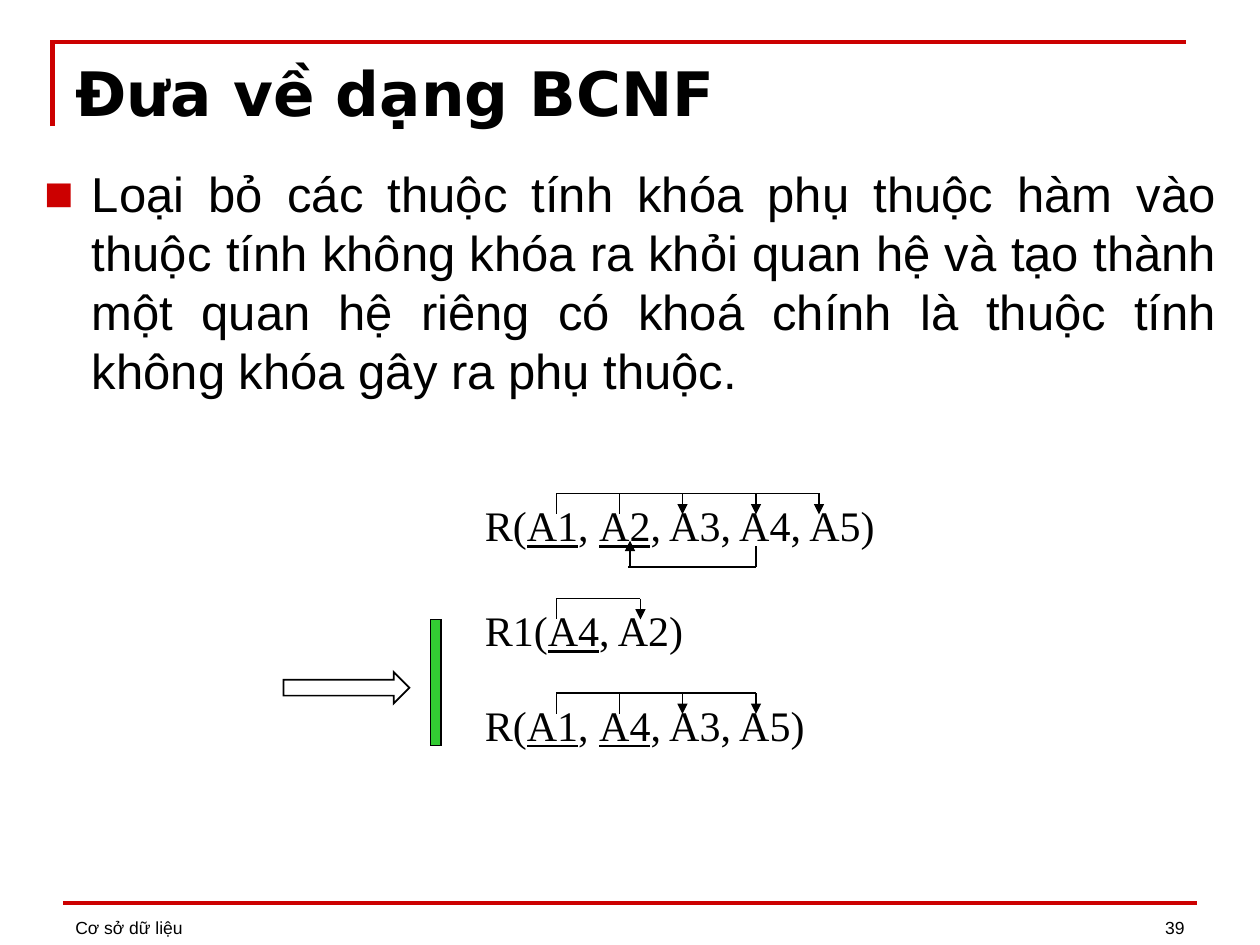
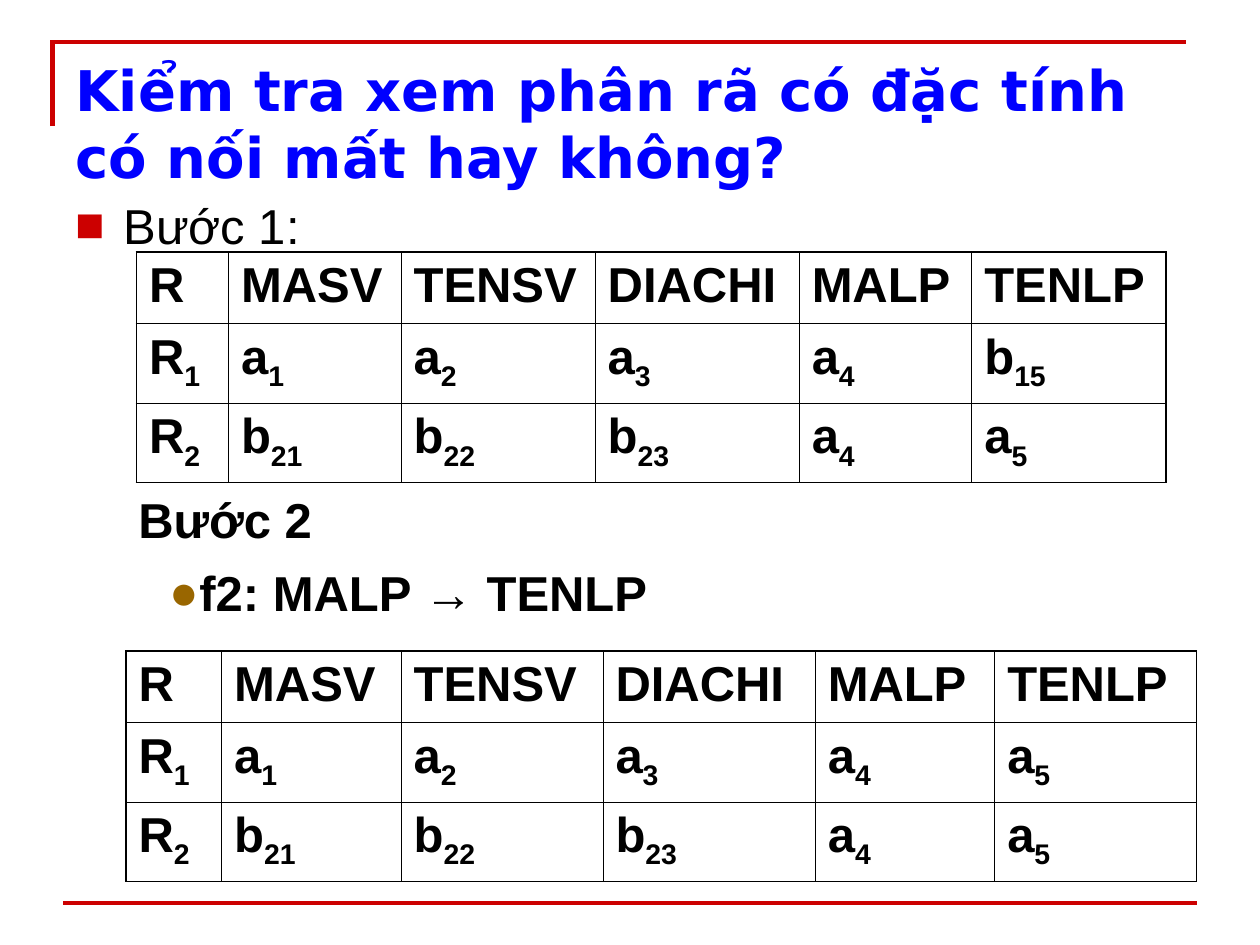
from dataclasses import dataclass
from typing import Any
from lxml.etree import SubElement
from pptx import Presentation
from pptx.dml.color import RGBColor
from pptx.enum.shapes import MSO_CONNECTOR, MSO_SHAPE
from pptx.enum.text import MSO_ANCHOR, MSO_AUTO_SIZE, PP_ALIGN
from pptx.oxml.ns import qn
from pptx.util import Inches, Pt

INK = {"red": "CC0000", "black": "000000", "blue": "0000FF",
       "green": "33CC33", "brown": "996600"}
WIDE, HIGH = Inches(10), Inches(7.5)
COLS, ROWS = 120, 90
THIN, THICK = 0.45, 1.08

FLAT = {"word_wrap": True, "auto_size": MSO_AUTO_SIZE.NONE,
        "vertical_anchor": MSO_ANCHOR.TOP,
        "margin_left": Inches(0.1), "margin_right": Inches(0.1),
        "margin_top": Inches(0.05), "margin_bottom": Inches(0.05)}
FOOT = {**FLAT, "vertical_anchor": MSO_ANCHOR.BOTTOM}
LEFT = {"alignment": PP_ALIGN.LEFT, "space_before": Pt(0), "line_spacing": 1.0}
RIGHT = {**LEFT, "alignment": PP_ALIGN.RIGHT}
LIST = {**LEFT, "alignment": PP_ALIGN.JUSTIFY}
PLAIN = {"name": "Arial", "size": Pt(28), "bold": False}
BOLD = {**PLAIN, "bold": True}
SMALL = {**PLAIN, "size": Pt(10)}
SERIF = {**PLAIN, "name": "Times New Roman", "size": Pt(24)}


@dataclass(frozen=True)
class Box:
    col: float
    row: float
    wide: float
    high: float

    def place(self) -> tuple[int, int, int, int]:
        return x(self.col), y(self.row), x(self.wide), y(self.high)


@dataclass(frozen=True)
class Rel:
    text: str
    row: float
    stems: tuple[float, ...]
    tips: tuple[float, ...]


@dataclass(frozen=True)
class Grid:
    box: Box
    scale: float
    rows: tuple[str, ...]


RELS = (
    Rel("R(|A1|, |A2|, A3, A4, A5)", 47, (53, 59), (65, 72, 78)),
    Rel("R1(|A4|, A2)", 57, (53,), (61,)),
    Rel("R(|A1|, |A4|, A3, A5)", 66, (53, 59), (65, 72)),
)
NAMES = "R MASV TENSV DIACHI MALP TENLP"
LAST = "R_2 b_21 b_22 b_23 a_4 a_5"
WIDTHS = (0.73, 1.37, 1.54, 1.62, 1.37, 1.54)
HEIGHTS = (0.57, 0.63, 0.63)
GRIDS = (
    Grid(Box(13, 24, 98, 22), 1, (NAMES, "R_1 a_1 a_2 a_3 a_4 b_15", LAST)),
    Grid(Box(12, 62, 102, 22), 1.04, (NAMES, "R_1 a_1 a_2 a_3 a_4 a_5", LAST)),
)


def x(col: float) -> int:
    return round(WIDE * col / COLS)


def y(row: float) -> int:
    return round(HIGH * row / ROWS)


def tint(key: str) -> RGBColor:
    return RGBColor.from_string(INK[key])


def style(item: Any, form: dict[str, Any]) -> None:
    for key, val in form.items():
        setattr(item, key, val)


def mark(para: Any, sign: str, key: str, hang: float = 0) -> None:
    props = para._p.get_or_add_pPr()
    props.set("marL", str(Inches(hang)))
    props.set("indent", str(-Inches(hang)))
    color = SubElement(props, qn("a:buClr"))
    SubElement(color, qn("a:srgbClr"), val=INK[key])
    SubElement(props, qn("a:buFont"), typeface="Arial")
    SubElement(props, qn("a:buChar"), char=sign)


def add_run(para: Any, text: str, font: dict[str, Any], key: str = "black") -> Any:
    run = para.add_run()
    run.text = text
    style(run.font, font)
    run.font.color.rgb = tint(key)
    return run


def fill_in(shape: Any, box: Box, text: str, font: dict[str, Any],
            form: dict[str, Any], frame: dict[str, Any], key: str = "black") -> Any:
    style(shape, dict(zip(("left", "top", "width", "height"), box.place())))
    style(shape.text_frame, frame)
    para = shape.text_frame.paragraphs[0]
    style(para, form)
    for num, part in enumerate(text.split("|")):
        add_run(para, part, {**font, "underline": num % 2 == 1}, key)
    return para


def add_text(slide: Any, box: Box, text: str, font: dict[str, Any],
             form: dict[str, Any] = LEFT, frame: dict[str, Any] = FLAT) -> Any:
    shape = slide.shapes.add_textbox(*box.place())
    return fill_in(shape, box, text, font, form, frame)


def add_line(slide: Any, start: tuple[float, float], end: tuple[float, float],
             tip: bool = False, key: str = "black", size: float = 0.75) -> None:
    line = slide.shapes.add_connector(MSO_CONNECTOR.STRAIGHT, x(start[0]), y(start[1]),
                                      x(end[0]), y(end[1]))
    line.line.color.rgb = tint(key)
    line.line.width = Pt(size)
    if tip:
        SubElement(line.line._get_or_add_ln(), qn("a:tailEnd"), type="triangle")
    SubElement(line._element.spPr, qn("a:effectLst"))


def paint(shape: Any, line: str, size: float, fill: str = "") -> None:
    shape.shadow.inherit = False
    shape.line.color.rgb = tint(line)
    shape.line.width = Pt(size)
    SubElement(shape.line._get_or_add_ln(), qn("a:miter"), lim="800000")
    if fill:
        shape.fill.solid()
        shape.fill.fore_color.rgb = tint(fill)
    else:
        shape.fill.background()


def add_page(deck: Any, title: str, size: float, key: str, item: str, box: Box) -> Any:
    slide = deck.slides.add_slide(deck.slide_layouts[1])
    bend = slide.shapes.build_freeform(x(5), y(12))
    bend.add_line_segments([(x(5), y(4)), (x(113), y(4))], close=False)
    paint(bend.convert_to_shape(), "red", 2.5)
    add_line(slide, (6, 86), (114, 86), key="red", size=2)
    head, body = slide.placeholders
    font = {"name": "DejaVu Sans", "size": Pt(size), "bold": True}
    fill_in(head, Box(6, 4.7, 108, 9.3), title, font, LEFT, FLAT, key)
    para = fill_in(body, box, item, PLAIN, LIST, FLAT)
    mark(para, "■", "red", 0.38)
    return slide


def add_rel(slide: Any, rel: Rel) -> None:
    add_text(slide, Box(45, rel.row, 41, 6), rel.text, SERIF)
    ends = rel.stems + rel.tips
    add_line(slide, (ends[0], rel.row), (ends[-1], rel.row))
    for col in ends:
        add_line(slide, (col, rel.row), (col, rel.row + 2), col in rel.tips)


def edge(cell: Any, sides: dict[str, float]) -> None:
    props = cell._tc.get_or_add_tcPr()
    for side, size in sides.items():
        line = SubElement(props, qn(f"a:ln{side}"), w=str(Pt(size)))
        fill = SubElement(line, qn("a:solidFill"))
        SubElement(fill, qn("a:srgbClr"), val=INK["black"])


def add_grid(slide: Any, grid: Grid) -> None:
    rows, cols = len(HEIGHTS), len(WIDTHS)
    table = slide.shapes.add_table(rows, cols, *grid.box.place()).table
    style(table, {"first_row": False, "horz_banding": False})
    for col, wide in zip(table.columns, WIDTHS):
        col.width = Inches(wide * grid.scale)
    for row, high in zip(table.rows, HEIGHTS):
        row.height = Inches(high)
    for r, texts in enumerate(grid.rows):
        for c, text in enumerate(texts.split()):
            cell = table.cell(r, c)
            outer = {"L": c == 0, "R": c == cols - 1, "T": r == 0, "B": r == rows - 1}
            edge(cell, {side: THICK if out else THIN for side, out in outer.items()})
            cell.fill.background()
            para = cell.text_frame.paragraphs[0]
            style(para, LEFT)
            base, _, sub = text.partition("_")
            add_run(para, base, BOLD)
            if sub:
                run = add_run(para, sub, BOLD)
                run._r.get_or_add_rPr().set("baseline", "-25000")


def add_form(deck: Any) -> None:
    slide = add_page(
        deck, "Đưa về dạng BCNF", 35, "black",
        "Loại bỏ các thuộc tính khóa phụ thuộc hàm vào thuộc tính không khóa ra khỏi "
        "quan hệ và tạo thành một quan hệ riêng có khoá chính là thuộc tính không khóa "
        "gây ra phụ thuộc.", Box(3, 15, 114, 69))
    add_text(slide, Box(6, 83.9, 73, 6), "Cơ sở dữ liệu", SMALL, frame=FOOT)
    add_text(slide, Box(86, 83.9, 28, 6), "39", SMALL, RIGHT, FOOT)
    for rel in RELS:
        add_rel(slide, rel)
    add_line(slide, (59.8, 54), (72, 54))
    add_line(slide, (60, 54), (60, 51.5), True)
    add_line(slide, (72, 52), (72, 54))
    bar = slide.shapes.add_shape(MSO_SHAPE.RECTANGLE, *Box(41, 59, 1, 12).place())
    paint(bar, "black", 1, "green")
    arrow = slide.shapes.add_shape(MSO_SHAPE.RIGHT_ARROW, *Box(27, 64, 12, 3).place())
    paint(arrow, "black", 1)


def add_test(deck: Any) -> None:
    slide = add_page(deck, "Kiểm tra xem phân rã có đặc tính có nối mất hay không?",
                     32, "blue", "Bước 1:", Box(6, 18, 53, 59.4))
    for grid in GRIDS:
        add_grid(slide, grid)
    add_text(slide, Box(12, 46, 19, 6.8), "Bước 2", BOLD)
    mark(add_text(slide, Box(15, 53, 58, 6.8), "f2: MALP → TENLP", BOLD), "●", "brown")


def main() -> None:
    deck = Presentation()
    style(deck, {"slide_width": WIDE, "slide_height": HIGH})
    add_form(deck)
    add_test(deck)
    deck.save("out.pptx")


if __name__ == "__main__":
    main()
